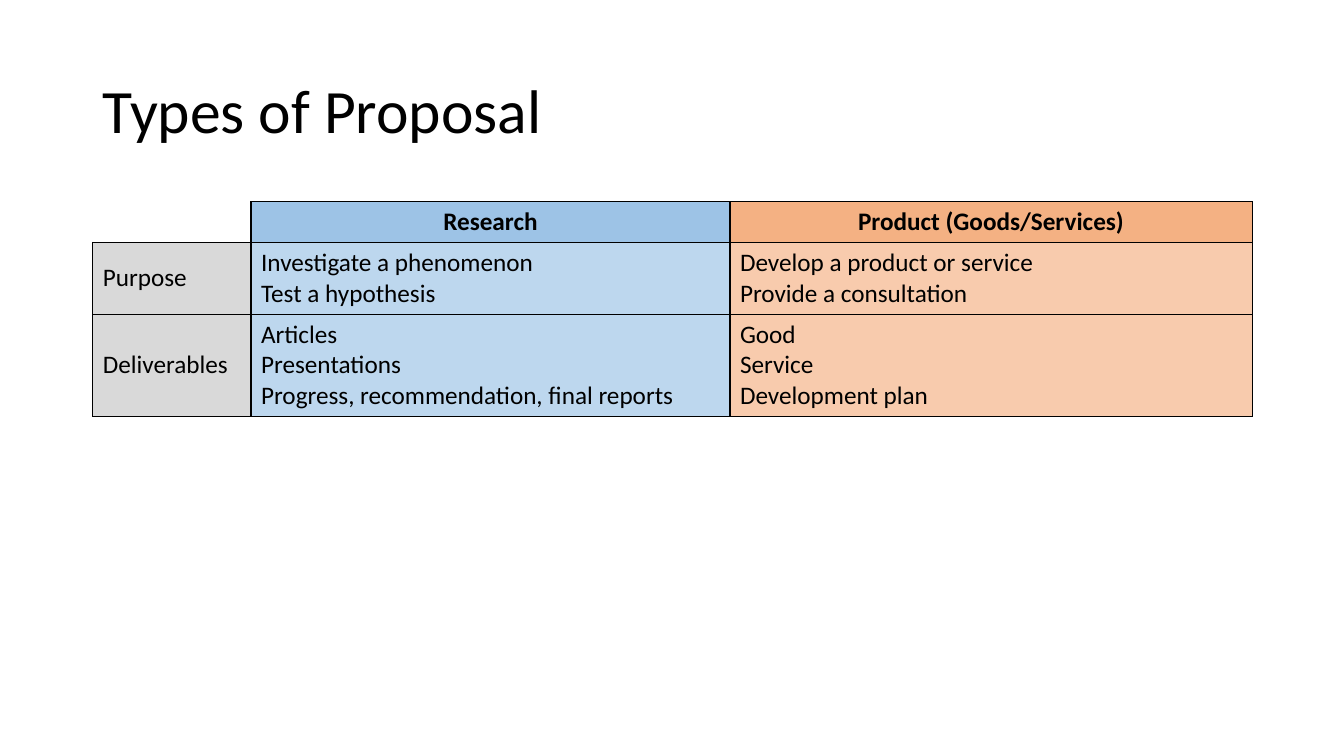
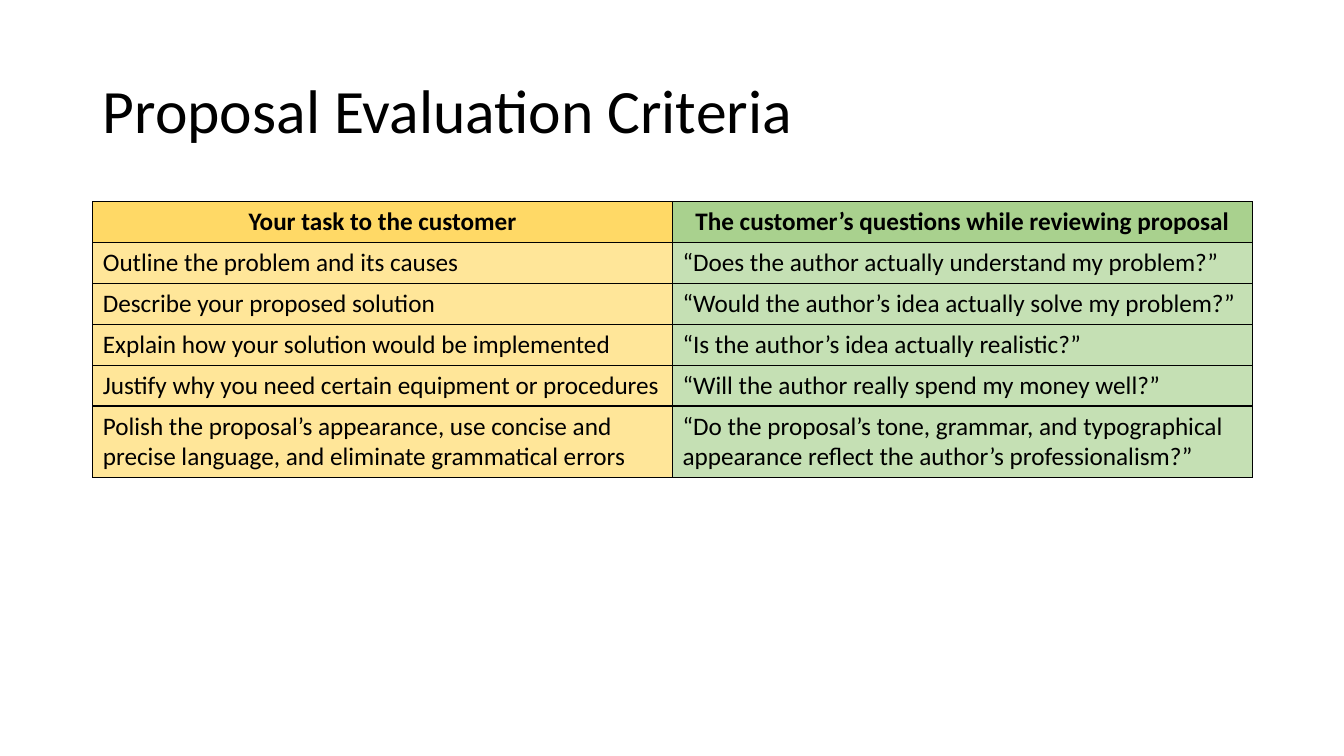
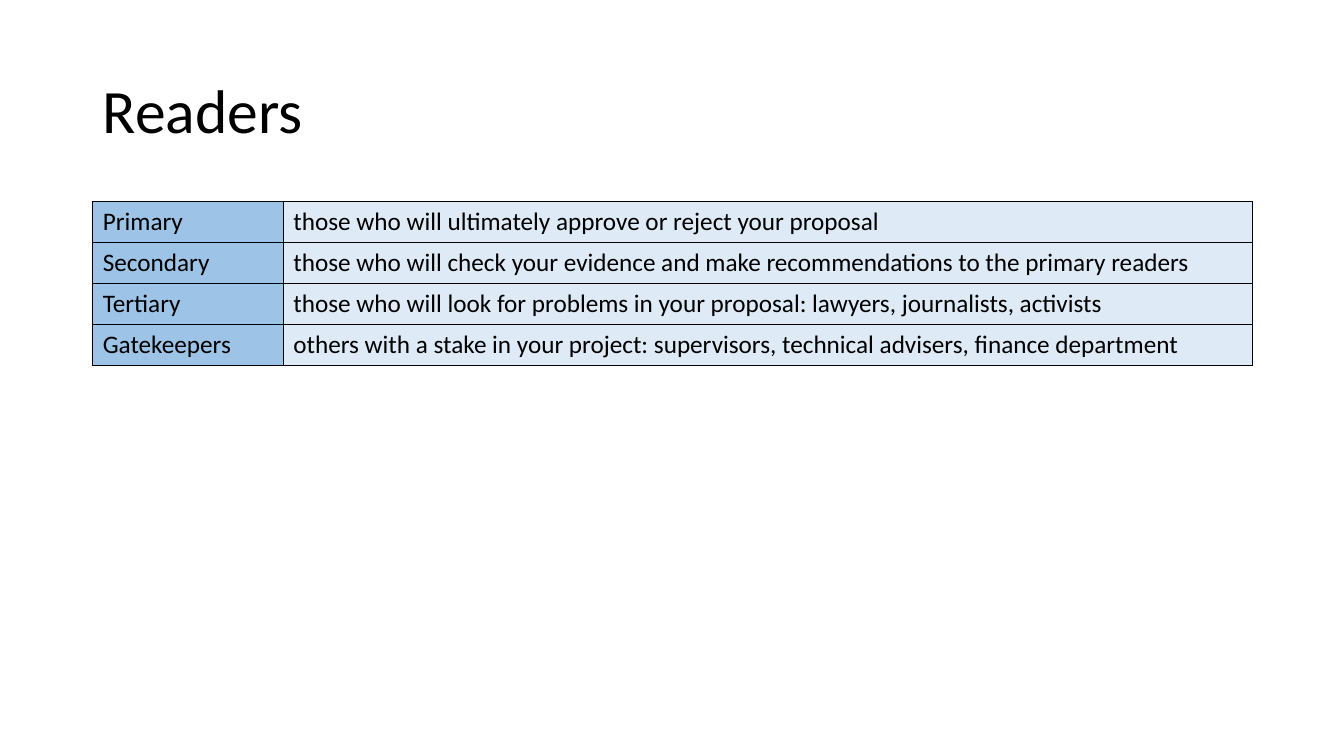
from dataclasses import dataclass

from lxml import etree
from pptx import Presentation
from pptx import util as u
from pptx.dml import color
from pptx.enum import text
from pptx.oxml import ns


@dataclass(frozen=True)
class Theme:
    font: str = "Calibri"
    ink: str = "000000"
    title_size: int = 44
    table_size: int = 18
    border_width: int = 1
    gray: str = "D9D9D9"
    blue: str = "9DC3E6"
    blue_light: str = "BDD7EE"
    blue_pale: str = "DEEBF7"
    orange: str = "F4B183"
    orange_light: str = "F8CBAD"
    gold: str = "FFD966"
    gold_light: str = "FFE699"
    green: str = "A9D18E"
    green_light: str = "C5E0B4"


THEME = Theme()
WIDTH, HEIGHT = 13.33, 7.5
MARGIN = 0.92
CONTENT_WIDTH = 11.5
TITLE_TOP, TITLE_HEIGHT = 0.4, 1.45
TABLE_TOP = 2
ROW_HEIGHT = 0.4


def style_paragraph(paragraph, size, bold=False, alignment=text.PP_ALIGN.LEFT):
    paragraph.alignment = alignment
    font = paragraph.font
    font.name = THEME.font
    font.size = u.Pt(size)
    font.bold = bold
    font.color.rgb = color.RGBColor.from_string(THEME.ink)


def add_titled_slide(presentation, title):
    slide = presentation.slides.add_slide(presentation.slide_layouts[5])
    shape = slide.shapes.title
    shape.left, shape.top = u.Inches(MARGIN), u.Inches(TITLE_TOP)
    shape.width, shape.height = u.Inches(CONTENT_WIDTH), u.Inches(TITLE_HEIGHT)
    frame = shape.text_frame
    frame.text = title
    frame.auto_size = text.MSO_AUTO_SIZE.NONE
    frame.vertical_anchor = text.MSO_ANCHOR.MIDDLE
    paragraph = frame.paragraphs[0]
    style_paragraph(paragraph, THEME.title_size)
    paragraph.line_spacing = 0.9
    return slide


def set_borders(cell, visible):
    properties = cell._tc.get_or_add_tcPr()
    for index, side in enumerate("LRTB"):
        line = etree.Element(ns.qn(f"a:ln{side}"), w=str(u.Pt(THEME.border_width)))
        if side in visible:
            fill = etree.SubElement(line, ns.qn("a:solidFill"))
            etree.SubElement(fill, ns.qn("a:srgbClr"), val=THEME.ink)
        else:
            etree.SubElement(line, ns.qn("a:noFill"))
        properties.insert(index, line)


def fill_cell(cell, words, fill, is_header, is_label):
    cell.text = words
    cell.vertical_anchor = text.MSO_ANCHOR.MIDDLE if is_label else text.MSO_ANCHOR.TOP
    alignment = text.PP_ALIGN.CENTER if is_header else text.PP_ALIGN.LEFT
    for paragraph in cell.text_frame.paragraphs:
        style_paragraph(paragraph, THEME.table_size, is_header, alignment)
    if fill:
        cell.fill.solid()
        cell.fill.fore_color.rgb = color.RGBColor.from_string(fill)
    else:
        cell.fill.background()
    set_borders(cell, "LRTB" if fill else "RB")


def add_grid(slide, column_widths, rows, body_fills, header_fills=None, has_labels=False):
    table = slide.shapes.add_table(
        len(rows), len(column_widths), u.Inches(MARGIN), u.Inches(TABLE_TOP),
        u.Inches(CONTENT_WIDTH), u.Inches(ROW_HEIGHT * len(rows)),
    ).table
    table.first_row = table.horz_banding = False
    for column, width in zip(table.columns, column_widths):
        column.width = u.Inches(width)
    for row_index, row in enumerate(rows):
        is_header = header_fills is not None and row_index == 0
        fills = header_fills if is_header else body_fills
        for column_index, (words, fill) in enumerate(zip(row, fills)):
            is_label = has_labels and column_index == 0
            fill_cell(table.cell(row_index, column_index), words, fill, is_header, is_label)


def add_proposal_types(presentation):
    slide = add_titled_slide(presentation, "Types of Proposal")
    rows = [
        ("", "Research", "Product (Goods/Services)"),
        ("Purpose", "Investigate a phenomenon\nTest a hypothesis",
         "Develop a product or service\nProvide a consultation"),
        ("Deliverables", "Articles\nPresentations\nProgress, recommendation, final reports",
         "Good\nService\nDevelopment plan"),
    ]
    add_grid(slide, (1.57, 4.75, 5.18), rows,
             (THEME.gray, THEME.blue_light, THEME.orange_light),
             (None, THEME.blue, THEME.orange), has_labels=True)


def add_evaluation_criteria(presentation):
    slide = add_titled_slide(presentation, "Proposal Evaluation Criteria")
    rows = [
        ("Your task to the customer", "The customer’s questions while reviewing proposal"),
        ("Outline the problem and its causes",
         "“Does the author actually understand my problem?”"),
        ("Describe your proposed solution",
         "“Would the author’s idea actually solve my problem?”"),
        ("Explain how your solution would be implemented",
         "“Is the author’s idea actually realistic?”"),
        ("Justify why you need certain equipment or procedures",
         "“Will the author really spend my money well?”"),
        ("Polish the proposal’s appearance, use concise and precise language, "
         "and eliminate grammatical errors",
         "“Do the proposal’s tone, grammar, and typographical appearance "
         "reflect the author’s professionalism?”"),
    ]
    add_grid(slide, (CONTENT_WIDTH / 2,) * 2, rows,
             (THEME.gold_light, THEME.green_light), (THEME.gold, THEME.green))


def add_readers(presentation):
    slide = add_titled_slide(presentation, "Readers")
    rows = [
        ("Primary", "those who will ultimately approve or reject your proposal"),
        ("Secondary", "those who will check your evidence and make recommendations "
                      "to the primary readers"),
        ("Tertiary", "those who will look for problems in your proposal: "
                     "lawyers, journalists, activists"),
        ("Gatekeepers", "others with a stake in your project: "
                        "supervisors, technical advisers, finance department"),
    ]
    add_grid(slide, (1.89, 9.61), rows, (THEME.blue, THEME.blue_pale))


def main():
    presentation = Presentation()
    presentation.slide_width = u.Inches(WIDTH)
    presentation.slide_height = u.Inches(HEIGHT)
    add_proposal_types(presentation)
    add_evaluation_criteria(presentation)
    add_readers(presentation)
    presentation.save("out.pptx")


if __name__ == "__main__":
    main()
